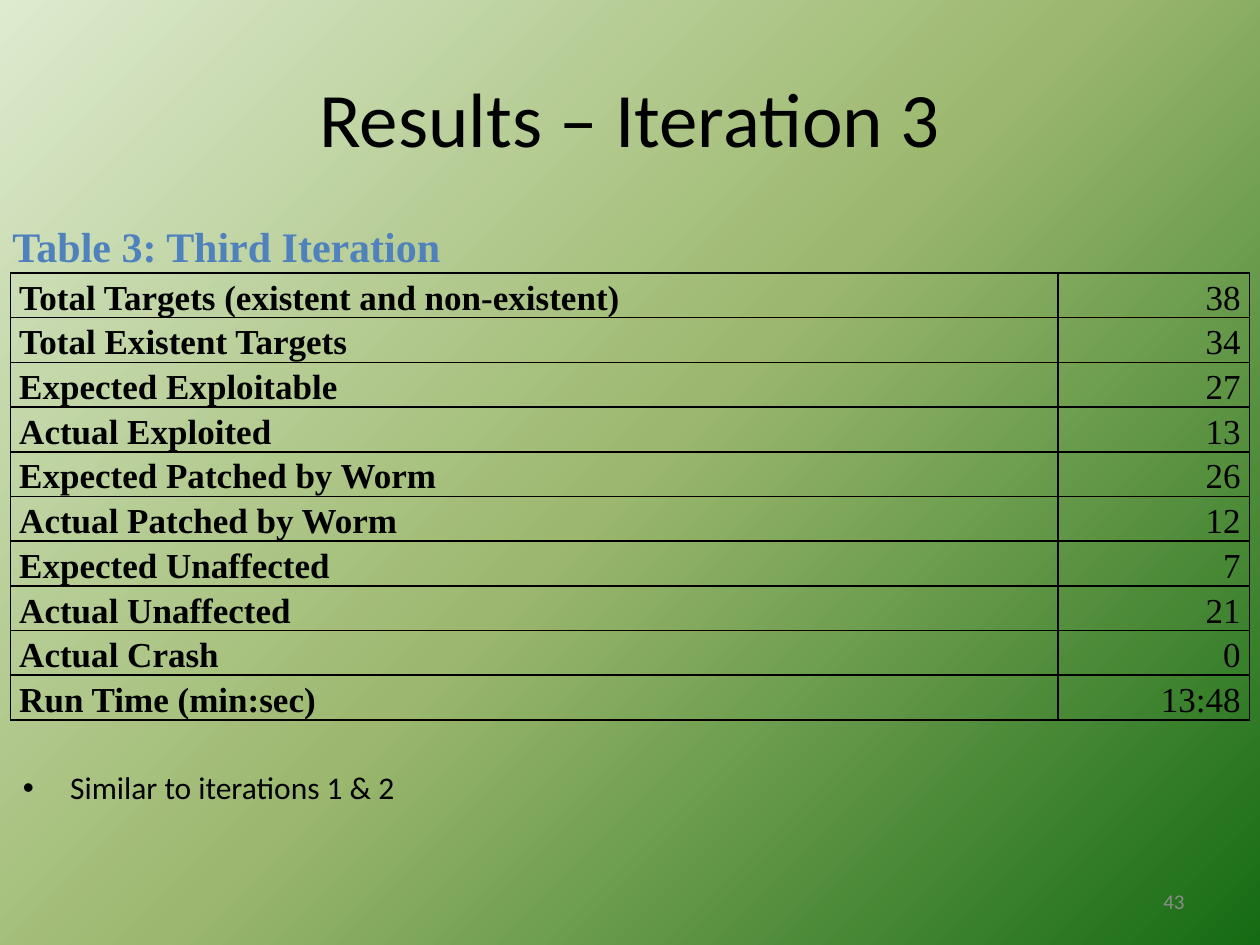
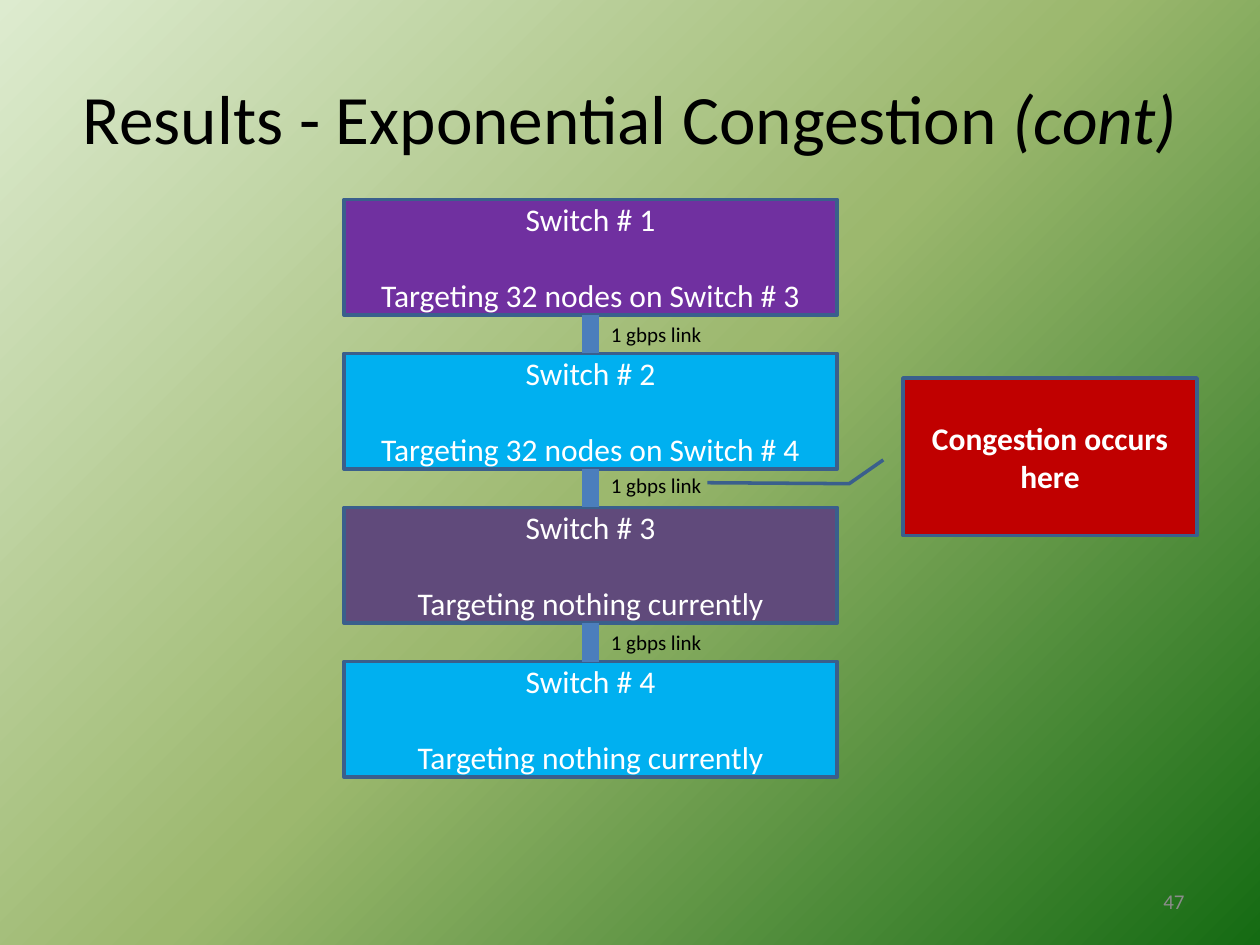
from collections import namedtuple

from lxml.etree import SubElement
from pptx import Presentation
from pptx.dml.color import RGBColor
from pptx.enum.shapes import MSO_CONNECTOR, MSO_SHAPE
from pptx.enum.text import MSO_ANCHOR as Anchor, MSO_AUTO_SIZE as AutoSize, PP_ALIGN as Align
from pptx.oxml.ns import qn
from pptx.util import Pt

Box = namedtuple("Box", "left top width height")

SANS, SERIF = "Calibri", "Times New Roman"
BLACK, WHITE, GREY, BLUE = "000000", "FFFFFF", "8C8C8C", "4F81BD"
OUTLINE, LINK, ALERT = "3A5F8C", "4B7EBC", "C00000"
BACKDROP = [(0, "DDEBCF"), (50, "9CB86E"), (100, "156B13")]

TITLE_BOX = Box(36, 21.6, 648, 90)
NUMBER_BOX = Box(516, 500.5, 168, 28.8)

RESULTS = [
    ("Total Targets (existent and non-existent)", "38"),
    ("Total Existent Targets", "34"),
    ("Expected Exploitable", "27"),
    ("Actual Exploited", "13"),
    ("Expected Patched by Worm", "26"),
    ("Actual Patched by Worm", "12"),
    ("Expected Unaffected", "7"),
    ("Actual Unaffected", "21"),
    ("Actual Crash", "0"),
    ("Run Time (min:sec)", "13:48"),
]
SWITCHES = [
    ("Switch # 1", "Targeting 32 nodes on Switch # 3", "7030A0"),
    ("Switch # 2", "Targeting 32 nodes on Switch # 4", "00B0F0"),
    ("Switch # 3", "Targeting nothing currently", "604A7B"),
    ("Switch # 4", "Targeting nothing currently", "00B0F0"),
]


def colour(hex_text):
    """Turn a hex string into a colour."""
    return RGBColor.from_string(hex_text)


def in_points(box):
    """Turn a box into four lengths."""
    return [Pt(value) for value in box]


def style(para, size, shade, name=SANS, bold=False, align=Align.LEFT):
    """Format a paragraph and all its runs."""
    para.alignment = align
    for span in para.runs:
        font = span.font
        font.name, font.size, font.bold = name, Pt(size), bold
        font.color.rgb = colour(shade)


def add_text(page, box, text, size, shade=BLACK, anchor=Anchor.TOP, wrap=True, grow=False, **look):
    """Add a one-paragraph text box and return its paragraph."""
    frame = page.shapes.add_textbox(*in_points(box)).text_frame
    frame.text = text
    frame.word_wrap = wrap
    frame.vertical_anchor = anchor
    frame.auto_size = AutoSize.SHAPE_TO_FIT_TEXT if grow else AutoSize.NONE
    style(frame.paragraphs[0], size, shade, **look)
    return frame.paragraphs[0]


def paint_backdrop(page):
    """Fill the page with the diagonal green gradient."""
    fill = page.background.fill
    fill.gradient()
    fill.gradient_angle = 315
    stops = page.element.find(".//" + qn("a:gsLst"))
    for stop in list(stops):
        stops.remove(stop)
    for percent, shade in BACKDROP:
        stop = SubElement(stops, qn("a:gs"), pos=str(percent * 1000))
        SubElement(stop, qn("a:srgbClr"), val=shade)


def add_page(deck, title, number, size, suffix=""):
    """Add a page with backdrop, title, italic suffix and page number."""
    page = deck.slides.add_slide(deck.slide_layouts[6])
    paint_backdrop(page)
    para = add_text(page, TITLE_BOX, title, size, anchor=Anchor.MIDDLE, align=Align.CENTER)
    if suffix:
        span = para.add_run()
        span.text = suffix
        style(para, size, BLACK, align=Align.CENTER)
        span.font.italic = True
    add_text(page, NUMBER_BOX, number, 12, GREY, anchor=Anchor.MIDDLE, align=Align.RIGHT)
    return page


def outline_cell(cell):
    """Draw a thin black border on all sides of a cell."""
    properties = cell._tc.get_or_add_tcPr()
    for side in ("lnL", "lnR", "lnT", "lnB"):
        line = SubElement(properties, qn("a:" + side), w=str(Pt(1)))
        SubElement(SubElement(line, qn("a:solidFill")), qn("a:srgbClr"), val=BLACK)


def add_results_table(page, box, rows, value_width):
    """Add a table of bold labels and right-aligned values."""
    table = page.shapes.add_table(len(rows), 2, *in_points(box)).table
    table.first_row = table.horz_banding = False
    table.columns[0].width = Pt(box.width - value_width)
    table.columns[1].width = Pt(value_width)
    looks = [dict(bold=True), dict(align=Align.RIGHT)]
    for row, texts in zip(table.rows, rows):
        row.height = Pt(box.height / len(rows))
        for cell, text, look in zip(row.cells, texts, looks):
            cell.text = text
            cell.margin_left = cell.margin_right = Pt(5)
            cell.margin_top = cell.margin_bottom = 0
            cell.vertical_anchor = Anchor.BOTTOM
            outline_cell(cell)
            cell.fill.background()
            para = cell.text_frame.paragraphs[0]
            para.line_spacing = 1.15
            style(para, 20, BLACK, SERIF, **look)


def add_bullet(page, box, text):
    """Add a single bulleted remark with a hanging indent."""
    para = add_text(page, box, text, 18)
    para.space_before = Pt(3.6)
    properties = para._p.get_or_add_pPr()
    properties.set("marL", str(Pt(27)))
    properties.set("indent", str(-Pt(27)))
    SubElement(properties, qn("a:buFont"), typeface="Arial")
    SubElement(properties, qn("a:buChar"), char="•")


def add_block(page, kind, box, fill, text, bold=False):
    """Add an outlined shape with centred white text."""
    shape = page.shapes.add_shape(kind, *in_points(box))
    shape.shadow.inherit = False
    shape.fill.solid()
    shape.fill.fore_color.rgb = colour(fill)
    shape.line.color.rgb = colour(OUTLINE)
    shape.line.width = Pt(2)
    frame = shape.text_frame
    frame.text = text
    frame.word_wrap = True
    frame.vertical_anchor = Anchor.MIDDLE
    for para in frame.paragraphs:
        style(para, 18, WHITE, bold=bold, align=Align.CENTER)
    return shape


def add_link(page, x, top, bottom):
    """Add a thick vertical link between two switches."""
    link = page.shapes.add_connector(MSO_CONNECTOR.STRAIGHT, Pt(x), Pt(top), Pt(x), Pt(bottom))
    link.line.color.rgb = colour(LINK)
    link.line.width = Pt(10)
    SubElement(link._element.spPr, qn("a:effectLst"))


def add_switch_stack(page, box, switches, gap, label_shifts):
    """Stack the switches down the box and join them with labelled links."""
    height = (box.height - gap * (len(switches) - 1)) / len(switches)
    tops = [box.top + index * (height + gap) for index in range(len(switches))]
    middle = box.left + box.width / 2
    for top, (name, target, fill) in zip(tops, switches):
        block = Box(box.left, top, box.width, height)
        shape = add_block(page, MSO_SHAPE.RECTANGLE, block, fill, name + "\n" + target)
        shape.text_frame.paragraphs[1].space_before = Pt(22)
    for top, shift in zip(tops, label_shifts):
        end = top + height
        add_link(page, middle, end, end + gap)
        label = Box(middle + 4.5, end + shift, 78, 21.6)
        add_text(page, label, "1 gbps link", 12, grow=True)


def add_callout(page, box, text):
    """Add the red callout whose bent line points at the busy link."""
    shape = add_block(page, MSO_SHAPE.LINE_CALLOUT_2, box, ALERT, text, bold=True)
    for index, value in enumerate((0.52, -0.067, 0.671, -0.183, 0.665, -0.665)):
        shape.adjustments[index] = value


def build_iteration_page(deck):
    """Build the page with the third iteration's results."""
    page = add_page(deck, "Results – Iteration 3", "43", 44)
    add_bullet(page, Box(6, 435.6, 648, 62.6), "Similar to iterations 1 & 2")
    add_results_table(page, Box(6, 156, 708, 255), RESULTS, 109.5)
    add_text(page, Box(0, 122.4, 261.4, 36), "Table 3: Third Iteration", 24, BLUE,
             Anchor.MIDDLE, wrap=False, grow=True, name=SERIF, bold=True)


def build_congestion_page(deck):
    """Build the page with the chain of switches."""
    page = add_page(deck, "Results - Exponential Congestion ", "47", 39.6, "(cont)")
    add_switch_stack(page, Box(196.5, 114, 282, 330), SWITCHES, 22, (0, -1.6, 0.4))
    add_callout(page, Box(516, 216, 168, 90), "Congestion occurs here")


deck = Presentation()
deck.slide_width, deck.slide_height = Pt(720), Pt(540)
build_iteration_page(deck)
build_congestion_page(deck)
deck.save("out.pptx")
